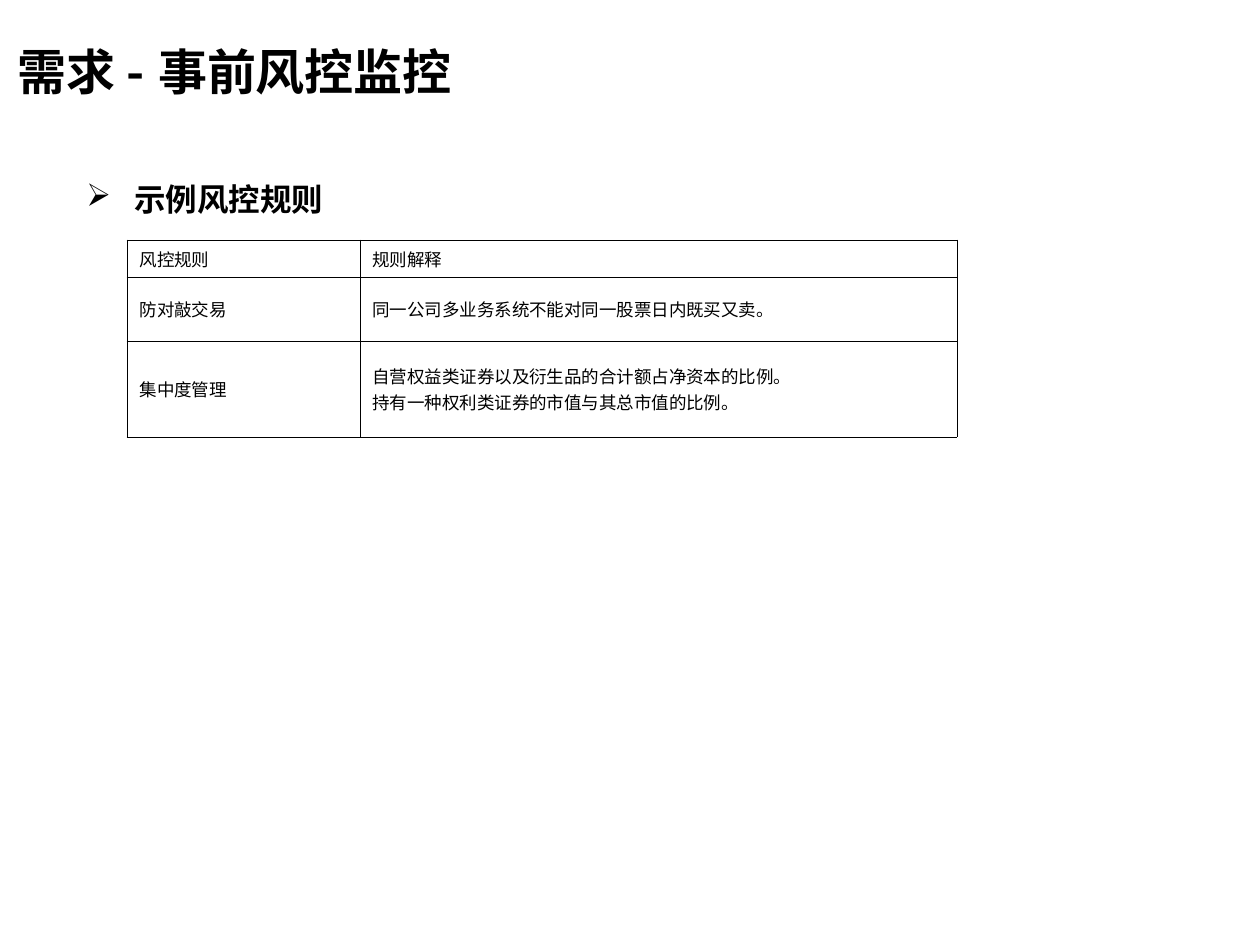
from lxml.etree import SubElement
from pptx import Presentation
from pptx.dml.color import RGBColor
from pptx.enum.text import MSO_ANCHOR
from pptx.oxml.ns import qn
from pptx.util import Pt

PX = 914400 // 126
BLACK = RGBColor(0, 0, 0)
WHITE = RGBColor(255, 255, 255)
LATIN = "Arial"
HAN = "Noto Sans CJK SC"


def style(font, size, name, bold=False):
    font.size, font.name, font.bold = Pt(size), name, bold
    font.color.rgb = BLACK


def add_box(left, top, width, height):
    box = slide.shapes.add_textbox(left * PX, top * PX, width * PX, height * PX)
    box.text_frame.word_wrap = True
    return box.text_frame.paragraphs[0]


deck = Presentation()
deck.slide_width, deck.slide_height = 1260 * PX, 945 * PX
slide = deck.slides.add_slide(deck.slide_layouts[6])

# Title
title = add_box(5, 35, 1095, 72)
for text, name in (("需求 ", LATIN), ("-", HAN), (" 事前风控监控", LATIN)):
    run = title.add_run()
    run.text = text
    style(run.font, 28, name, True)

# Bulleted heading
head = add_box(74, 155, 1090, 694)
head.line_spacing = 1.5
props = head._p.get_or_add_pPr()
props.set("marL", str(48 * PX))
props.set("indent", str(-48 * PX))
color = SubElement(props, qn("a:buClr"))
SubElement(color, qn("a:srgbClr"), val=str(BLACK))
SubElement(props, qn("a:buChar"), char="➢")
head.add_run().text = "示例风控规则"
style(head.font, 18, LATIN, True)

# Rule table
rules = (
    ("风控规则", "规则解释"),
    ("防对敲交易", "同一公司多业务系统不能对同一股票日内既买又卖。"),
    ("集中度管理", "自营权益类证券以及衍生品的合计额占净资本的比例。\n"
                   "持有一种权利类证券的市值与其总市值的比例。"),
)
widths = (233, 597)
heights = (37, 64, 96)
table = slide.shapes.add_table(
    len(rules), len(widths), 127 * PX, 240 * PX,
    sum(widths) * PX, sum(heights) * PX).table
for column, width in zip(table.columns, widths):
    column.width = width * PX
for row, height, texts in zip(table.rows, heights, rules):
    row.height = height * PX
    for cell, text in zip(row.cells, texts):
        cell.text = text
        cell.vertical_anchor = MSO_ANCHOR.MIDDLE
        for line in cell.text_frame.paragraphs:
            style(line.font, 10, HAN)
        # Borders come before the fill in a cell's properties
        props = cell._tc.get_or_add_tcPr()
        for side in ("lnL", "lnR", "lnT", "lnB"):
            edge = SubElement(props, qn(f"a:{side}"), w=str(Pt(0.45)))
            paint = SubElement(edge, qn("a:solidFill"))
            SubElement(paint, qn("a:srgbClr"), val=str(BLACK))
        cell.fill.solid()
        cell.fill.fore_color.rgb = WHITE

deck.save("out.pptx")
